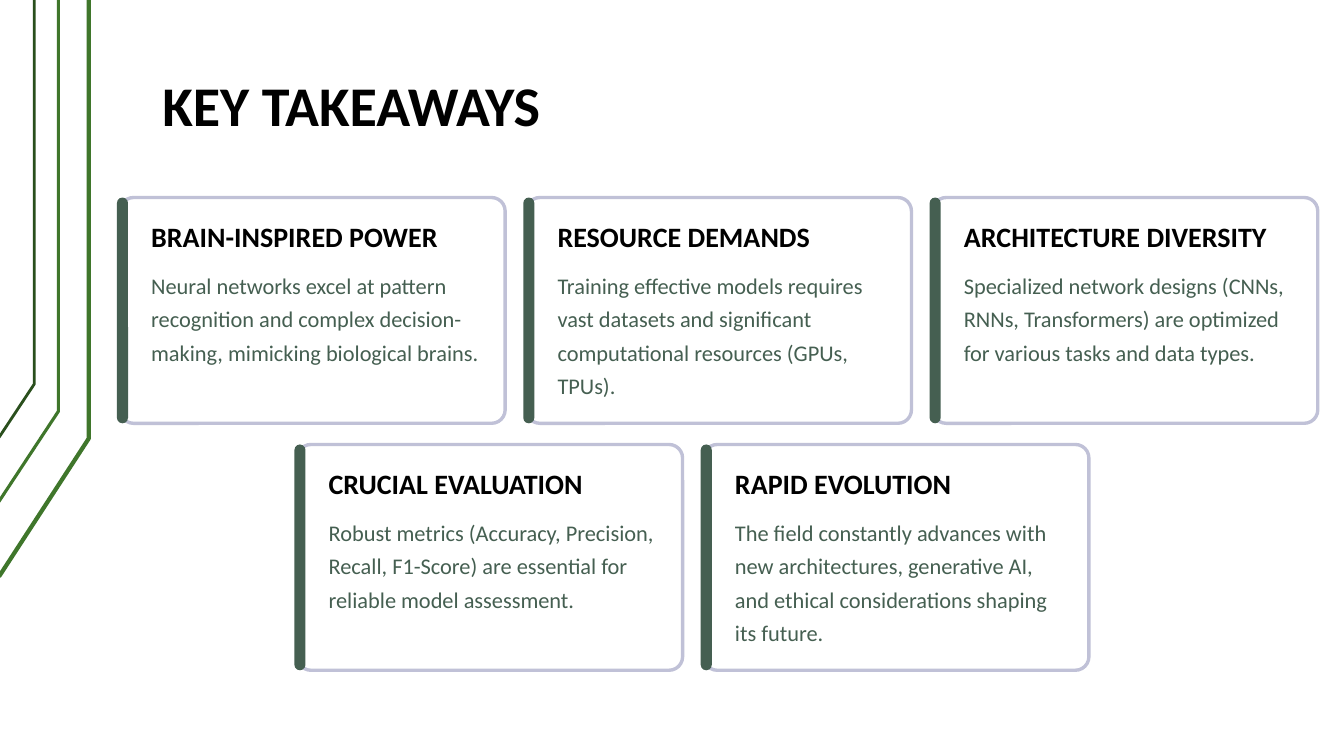
from dataclasses import dataclass

from pptx import Presentation
from pptx.dml.color import RGBColor
from pptx.enum.shapes import MSO_SHAPE
from pptx.enum.text import MSO_ANCHOR, PP_ALIGN
from pptx.shapes.autoshape import Shape
from pptx.slide import Slide
from pptx.util import Pt

PX = 9144  # EMU per px, 100 px to the inch


@dataclass(frozen=True)
class TextStyle:
    size: float
    leading: float
    color: str
    bold: bool = False


@dataclass(frozen=True)
class Theme:
    font: str = "Calibri"
    card_fill: str = "FFFFFF"
    card_line: str = "C0C1D7"
    accent: str = "455F51"
    stripe: str = "3F762B"
    stripe_dark: str = "2A4F1D"
    title: TextStyle = TextStyle(40, 46.2, "000000", True)
    heading: TextStyle = TextStyle(20, 22.9, "000000", True)
    body: TextStyle = TextStyle(16, 23.7, "455F51")


THEME = Theme()


@dataclass(frozen=True)
class Stripe:
    points: tuple[tuple[int, int], ...]
    color: str
    weight: float


@dataclass(frozen=True)
class Takeaway:
    heading: str
    body: str


@dataclass(frozen=True)
class CardRow:
    left: int
    takeaways: tuple[Takeaway, ...]


STRIPES = (
    Stripe(((-1, 572), (88, 435), (88, 0)), THEME.stripe, 3),
    Stripe(((-2, 499), (58, 408), (58, 0)), THEME.stripe, 2.25),
    Stripe(((-1, 434), (34, 381), (34, 0)), THEME.stripe_dark, 2),
)

ROWS = (
    CardRow(116, (
        Takeaway("BRAIN-INSPIRED POWER",
                 "Neural networks excel at pattern recognition and complex "
                 "decision-making, mimicking biological brains."),
        Takeaway("RESOURCE DEMANDS",
                 "Training effective models requires vast datasets and "
                 "significant computational resources (GPUs, TPUs)."),
        Takeaway("ARCHITECTURE DIVERSITY",
                 "Specialized network designs (CNNs, RNNs, Transformers) are "
                 "optimized for various tasks and data types."),
    )),
    CardRow(292, (
        Takeaway("CRUCIAL EVALUATION",
                 "Robust metrics (Accuracy, Precision, Recall, F1-Score) are "
                 "essential for reliable model assessment."),
        Takeaway("RAPID EVOLUTION",
                 "The field constantly advances with new architectures, "
                 "generative AI, and ethical considerations shaping its future."),
    )),
)
ROWS_TOP, ROW_PITCH, COLUMN_PITCH = 196, 245, 403
CARD_WIDTH, CARD_HEIGHT, BAR_WIDTH = 382, 224, 11
TEXT_INSET, TEXT_WIDTH = 34, 327


def rgb(color: str) -> RGBColor:
    return RGBColor.from_string(color)


def add_stripe(slide: Slide, stripe: Stripe) -> None:
    start, *rest = stripe.points
    builder = slide.shapes.build_freeform(*start, scale=PX)
    builder.add_line_segments(rest, close=False)
    outline = builder.convert_to_shape()
    outline.shadow.inherit = False
    outline.fill.background()
    outline.line.color.rgb = rgb(stripe.color)
    outline.line.width = Pt(stripe.weight)


def add_text(slide: Slide, text: str, left: int, top: int, width: int,
             height: int, style: TextStyle) -> None:
    box = slide.shapes.add_textbox(left * PX, top * PX, width * PX, height * PX)
    frame = box.text_frame
    frame.margin_left = frame.margin_right = 0
    frame.margin_top = frame.margin_bottom = 0
    frame.vertical_anchor = MSO_ANCHOR.TOP
    frame.word_wrap = True
    frame.text = text
    paragraph = frame.paragraphs[0]
    paragraph.alignment = PP_ALIGN.LEFT
    paragraph.line_spacing = Pt(style.leading)
    font = paragraph.runs[0].font
    font.name = THEME.font
    font.size = Pt(style.size)
    font.bold = style.bold
    font.color.rgb = rgb(style.color)


def add_panel(slide: Slide, left: int, top: int, width: int,
              rounding: float, fill: str) -> Shape:
    panel = slide.shapes.add_shape(MSO_SHAPE.ROUNDED_RECTANGLE, left * PX,
                                   top * PX, width * PX, CARD_HEIGHT * PX)
    panel.adjustments[0] = rounding
    panel.shadow.inherit = False
    panel.fill.solid()
    panel.fill.fore_color.rgb = rgb(fill)
    panel.line.fill.background()
    return panel


def add_card(slide: Slide, takeaway: Takeaway, left: int, top: int) -> None:
    card = add_panel(slide, left + 3, top, CARD_WIDTH, 0.06, THEME.card_fill)
    card.line.color.rgb = rgb(THEME.card_line)
    card.line.width = Pt(2.4)
    add_panel(slide, left, top, BAR_WIDTH, 0.5, THEME.accent)
    text_left = left + TEXT_INSET
    add_text(slide, takeaway.heading, text_left, top + 23, TEXT_WIDTH, 32,
             THEME.heading)
    add_text(slide, takeaway.body, text_left, top + 68, TEXT_WIDTH, 132,
             THEME.body)


def main() -> None:
    deck = Presentation()
    deck.slide_width, deck.slide_height = 1333 * PX, 750 * PX
    slide = deck.slides.add_slide(deck.slide_layouts[6])

    # Green stripes on the left edge
    for stripe in STRIPES:
        add_stripe(slide, stripe)

    # Title
    add_text(slide, "KEY TAKEAWAYS", 161, 72, 517, 65, THEME.title)

    # Takeaway cards
    for row_index, row in enumerate(ROWS):
        for column, takeaway in enumerate(row.takeaways):
            add_card(slide, takeaway, row.left + column * COLUMN_PITCH,
                     ROWS_TOP + row_index * ROW_PITCH)

    deck.save("out.pptx")


if __name__ == "__main__":
    main()
